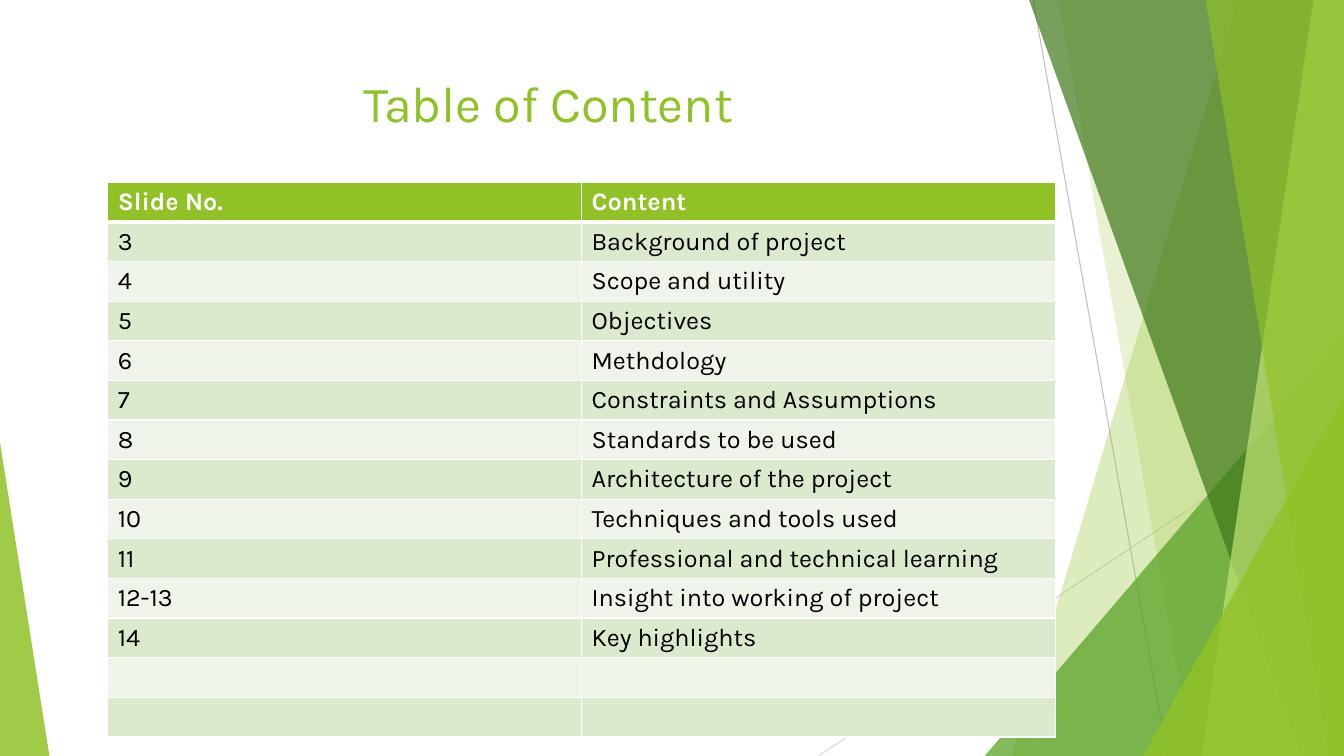
from lxml.etree import SubElement
from pptx import Presentation
from pptx.dml.color import RGBColor
from pptx.enum.shapes import MSO_CONNECTOR, MSO_SHAPE
from pptx.enum.text import MSO_ANCHOR, PP_ALIGN
from pptx.oxml.ns import qn
from pptx.util import Pt

LIME = RGBColor(0x90, 0xC2, 0x26)
GREEN = RGBColor(0x54, 0xA0, 0x21)
DARK = RGBColor(0x3F, 0x78, 0x19)
PALE = RGBColor(0xC0, 0xE4, 0x74)
GREY = RGBColor(0xBF, 0xBF, 0xBF)
SILVER = RGBColor(0xD9, 0xD9, 0xD9)
WHITE = RGBColor(0xFF, 0xFF, 0xFF)
BLACK = RGBColor(0, 0, 0)
BANDS = [RGBColor(0xEE, 0xF4, 0xE8), RGBColor(0xDB, 0xE9, 0xCD)]
FONT = "Karla"
WIDE, HIGH = 960, 540


def style(para, size, color, bold=False):
    for run in para.runs:
        run.font.name = FONT
        run.font.size = Pt(size)
        run.font.bold = bold
        run.font.color.rgb = color


def border(cell, side, width):
    line = SubElement(cell._tc.get_or_add_tcPr(), qn(f"a:ln{side}"), w=str(Pt(width)))
    fill = SubElement(line, qn("a:solidFill"))
    SubElement(fill, qn("a:srgbClr"), val=str(WHITE))


deck = Presentation()
deck.slide_width, deck.slide_height = Pt(WIDE), Pt(HIGH)
slide = deck.slides.add_slide(deck.slide_layouts[6])
shapes = slide.shapes

for x1, y1, x2, y2, color in [
    (738, 0, 833.8, HIGH, GREY),
    (WIDE, 290.2, 584.6, HIGH, SILVER),
]:
    line = shapes.add_connector(MSO_CONNECTOR.STRAIGHT, Pt(x1), Pt(y1), Pt(x2), Pt(y2))
    line.line.color.rgb = color
    line.line.width = Pt(0.75)
    SubElement(line._element.spPr, qn("a:effectLst"))

facets = [
    ("wedge", 884.2, 722.9, LIME, 30),
    ("wedge", 756, 851.8, LIME, 20),
    ("right", 703.4, 239.8, GREEN, 72),
    ("wedge", 735.1, 929.5, DARK, 70),
    ("wedge", 938.2, 858.2, PALE, 70),
    ("wedge", 861.1, 949, LIME, 65),
    ("right", 816.5, 283, LIME, 80),
    ("left", 35.3, 316.1, LIME, 85),
]
for kind, a, b, color, alpha in facets:
    if kind == "wedge":
        pen = shapes.build_freeform(Pt(a), 0)
        pen.add_line_segments([(Pt(WIDE), 0), (Pt(WIDE), Pt(HIGH)), (Pt(b), Pt(HIGH))])
        facet = pen.convert_to_shape()
    else:
        start, end = (a, WIDE) if kind == "right" else (0, a)
        facet = shapes.add_shape(
            MSO_SHAPE.ISOSCELES_TRIANGLE, Pt(start), Pt(b), Pt(end - start), Pt(HIGH - b)
        )
        facet.adjustments[0] = 1 if kind == "right" else 0
    facet.shadow.inherit = False
    facet.line.fill.background()
    facet.fill.solid()
    facet.fill.fore_color.rgb = color
    tint = facet._element.spPr.find(f".//{qn('a:srgbClr')}")
    SubElement(tint, qn("a:alpha"), val=str(alpha * 1000))

title = shapes.add_textbox(Pt(53.3), Pt(48.2), Pt(676.8), Pt(103.7)).text_frame
title.word_wrap = True
title.text = "Table of Content"
title.paragraphs[0].alignment = PP_ALIGN.CENTER
style(title.paragraphs[0], 36, LIME)

rows = [
    ("Slide No.", "Content"),
    ("3", "Background of project"),
    ("4", "Scope and utility"),
    ("5", "Objectives"),
    ("6", "Methdology"),
    ("7", "Constraints and Assumptions"),
    ("8", "Standards to be used"),
    ("9", "Architecture of the project"),
    ("10", "Techniques and tools used"),
    ("11", "Professional and technical learning"),
    ("12-13", "Insight into working of project"),
    ("14", "Key highlights"),
    ("", ""),
    ("", ""),
]
step = 28.3
table = shapes.add_table(
    len(rows), 2, Pt(77), Pt(130.3), Pt(676.8), Pt(step * len(rows))
).table
for r, row in enumerate(rows):
    table.rows[r].height = Pt(step)
    for c, text in enumerate(row):
        cell = table.cell(r, c)
        cell.margin_top = cell.margin_bottom = 0
        cell.vertical_anchor = MSO_ANCHOR.MIDDLE
        for side in "LRTB":
            border(cell, side, 3 if (r, side) in [(0, "B"), (1, "T")] else 1)
        cell.fill.solid()
        cell.fill.fore_color.rgb = BANDS[r % 2] if r else LIME
        cell.text_frame.text = text
        style(cell.text_frame.paragraphs[0], 18, BLACK if r else WHITE, r == 0)

deck.save("out.pptx")
